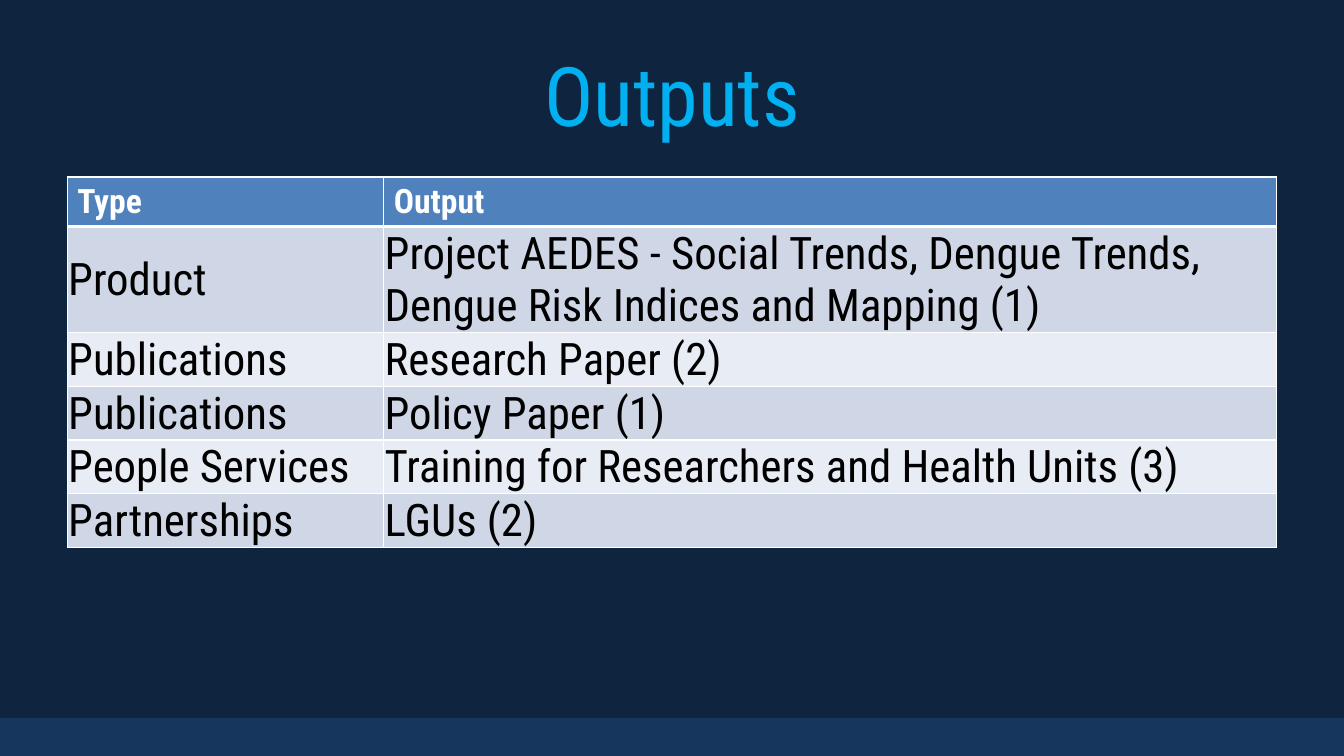
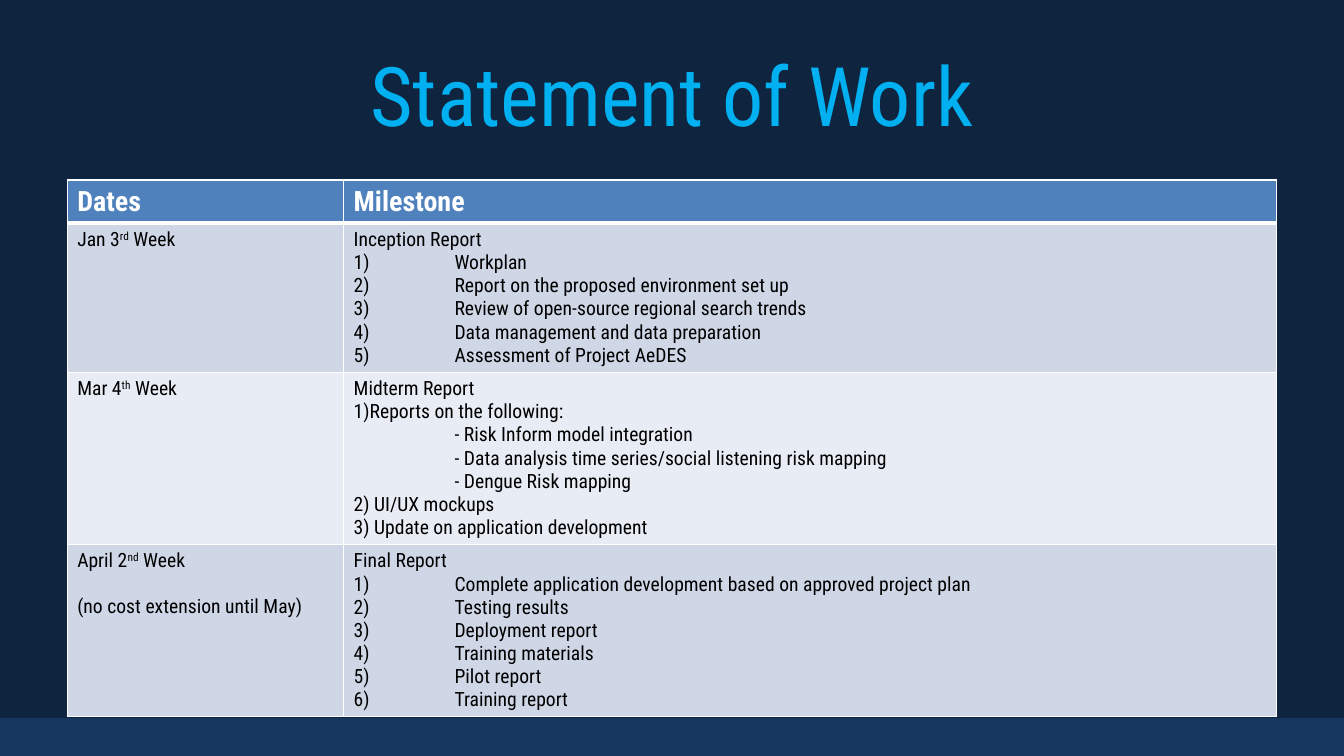
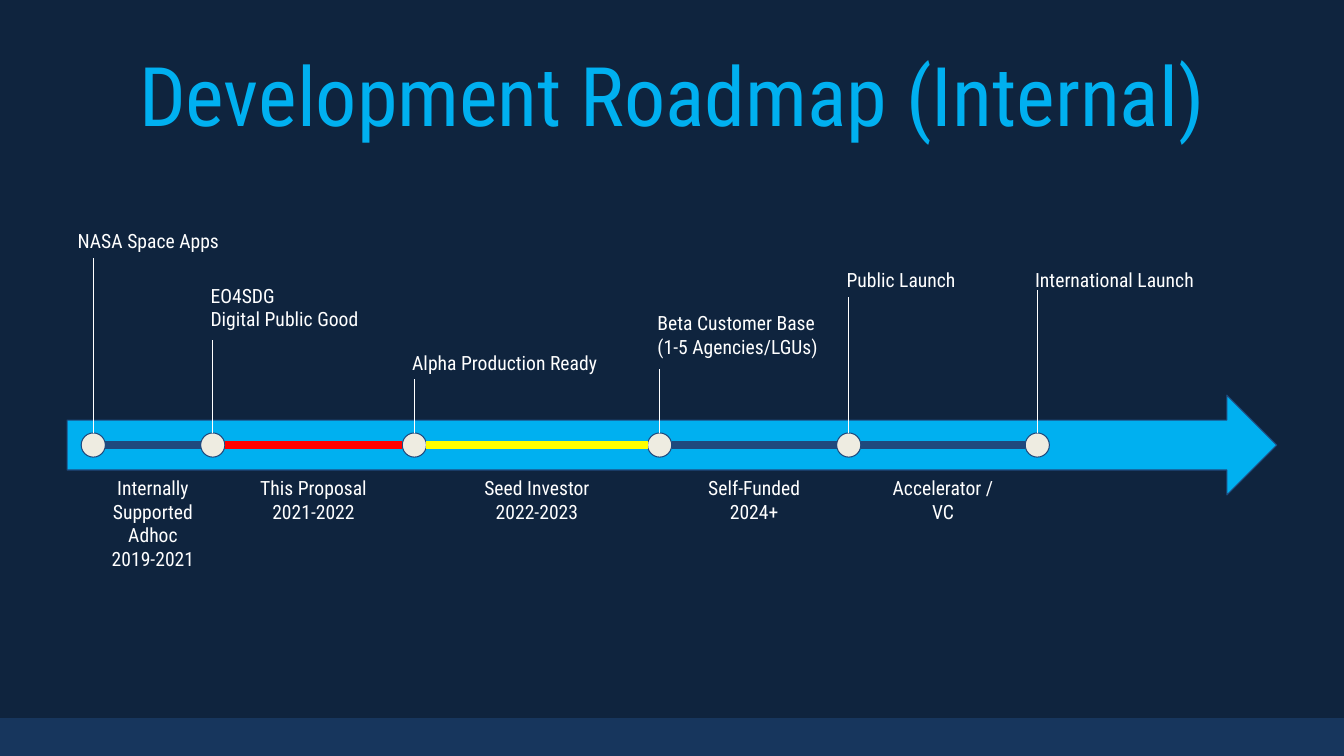
from dataclasses import dataclass
from itertools import pairwise

from lxml.etree import SubElement
from pptx import Presentation
from pptx.dml.color import RGBColor
from pptx.enum.shapes import MSO_CONNECTOR, MSO_SHAPE
from pptx.enum.text import MSO_ANCHOR, MSO_AUTO_SIZE, PP_ALIGN
from pptx.oxml.ns import qn
from pptx.util import Emu, Inches, Pt

WIDTH, HEIGHT = Inches(13.33), Inches(7.5)
MARGIN, CONTENT = 5, 90  # percent of the slide's width
FONT = "Roboto Condensed"
NIGHT, NAVY, SKY, BLUE = "0F243E", "17365D", "00B0F0", "4F81BD"
INK, IVORY, WHITE, BLACK = "1F497D", "EEECE1", "FFFFFF", "000000"
RED, YELLOW = "FF0000", "FFFF00"
STRIPES = ("CFD7E7", "E8ECF4")
TAB_STOP = Inches(1)
AXIS = 58.87  # height of the timeline
DOT_WIDE, DOT_HIGH = 0.9, 1.6  # half the size of a timeline dot


@dataclass
class Line:
    text: str
    raised: str = ""
    tail: str = ""
    indent: int = 0
    gap: float = 0


@dataclass
class TableStyle:
    top: float
    first_column: float
    row_heights: list[float]
    head_size: float
    body_size: float
    tight: bool = False


@dataclass
class Milestone:
    x: float
    label: list[str]
    label_top: float
    label_width: float
    stem_top: float
    label_shift: float = DOT_WIDE


@dataclass
class Phase:
    label: list[str]
    color: str = INK
    rows: int = 2


def across(percent: float) -> Emu:
    return Emu(round(WIDTH * percent / 100))


def down(percent: float) -> Emu:
    return Emu(round(HEIGHT * percent / 100))


def area(left: float, top: float, width: float, height: float) -> tuple:
    """Turn percentages of the slide into a position and a size."""
    return across(left), down(top), across(width), down(height)


def rgb(color: str) -> RGBColor:
    return RGBColor.from_string(color)


def write(para, text: str, *, size: float, color: str = WHITE,
          bold: bool = False, raised: bool = False) -> None:
    span = para.add_run()
    span.text = text
    span.font.name, span.font.size = FONT, Pt(size)
    span.font.bold = bold
    span.font.color.rgb = rgb(color)
    if raised:
        span._r.get_or_add_rPr().set("baseline", "30000")


def write_lines(frame, lines: list[Line], **style) -> None:
    for number, line in enumerate(lines):
        para = frame.add_paragraph() if number else frame.paragraphs[0]
        props = para._p.get_or_add_pPr()
        if line.indent:
            props.set("marL", str(line.indent))
            props.set("indent", "0")
        if "\t" in line.text:
            stops = SubElement(props, qn("a:tabLst"))
            SubElement(stops, qn("a:tab"), pos=str(TAB_STOP), algn="l")
        if line.gap:
            para.space_before = Pt(line.gap)
        write(para, line.text, **style)
        if line.raised:
            write(para, line.raised, raised=True, **style)
            write(para, line.tail, **style)


def add_shape(page, kind, place: tuple, fill: str, outline: str = "") -> None:
    shape = page.shapes.add_shape(kind, *place)
    shape.shadow.inherit = False
    shape.fill.solid()
    shape.fill.fore_color.rgb = rgb(fill)
    if outline:
        shape.line.color.rgb = rgb(outline)
        shape.line.width = Pt(0.75)
    else:
        shape.line.fill.background()


def add_line(page, start: tuple, end: tuple, color: str, weight: float) -> None:
    line = page.shapes.add_connector(
        MSO_CONNECTOR.STRAIGHT, across(start[0]), down(start[1]), across(end[0]), down(end[1]))
    line.line.color.rgb = rgb(color)
    line.line.width = Pt(weight)
    SubElement(line.element.spPr, qn("a:effectLst"))


def add_label(page, lines: list[str], left: float, top: float, width: float,
              rows: int, align=PP_ALIGN.LEFT) -> None:
    height = 2.67 + 3.12 * rows
    frame = page.shapes.add_textbox(*area(left, top, width, height)).text_frame
    frame.word_wrap = True
    frame.margin_left = frame.margin_right = Inches(0.1)
    frame.margin_top = frame.margin_bottom = Inches(0.1)
    write_lines(frame, [Line(text) for text in lines], size=14)
    for para in frame.paragraphs:
        para.alignment = align


def add_border(cell, bottom: float) -> None:
    props = cell._tc.get_or_add_tcPr()
    for side, weight in (("lnL", 1), ("lnR", 1), ("lnT", 1), ("lnB", bottom)):
        edge = SubElement(props, qn(f"a:{side}"), w=str(Pt(weight)))
        fill = SubElement(edge, qn("a:solidFill"))
        SubElement(fill, qn("a:srgbClr"), val=WHITE)


def add_table(page, rows: list[tuple], style: TableStyle) -> None:
    table = page.shapes.add_table(
        len(rows), 2, *area(MARGIN, style.top, CONTENT, sum(style.row_heights))).table
    table.horz_banding = False
    table.columns[0].width = across(style.first_column)
    table.columns[1].width = across(CONTENT - style.first_column)
    for index, (row, height) in enumerate(zip(rows, style.row_heights)):
        table.rows[index].height = down(height)
        head = index == 0
        for cell, lines in zip(table.rows[index].cells, row):
            add_border(cell, 3 if head else 1)
            cell.fill.solid()
            cell.fill.fore_color.rgb = rgb(BLUE if head else STRIPES[(index - 1) % 2])
            if style.tight and not head:
                cell.vertical_anchor = MSO_ANCHOR.MIDDLE
                cell.margin_left = cell.margin_right = cell.margin_top = Inches(0.01)
                cell.margin_bottom = 0
            write_lines(cell.text_frame, lines, bold=head,
                        size=style.head_size if head else style.body_size,
                        color=WHITE if head else BLACK)


def numbered(items: list[str]) -> list[Line]:
    return [Line(f"{number})\t{item}") for number, item in enumerate(items, 1)]


def add_page(deck, title: str):
    page = deck.slides.add_slide(deck.slide_layouts.get_by_name("Title Only"))
    page.background.fill.solid()
    page.background.fill.fore_color.rgb = rgb(NIGHT)
    add_shape(page, MSO_SHAPE.RECTANGLE, area(0, 95, 100, 5), NAVY)
    box = page.shapes.title
    box.left, box.top, box.width, box.height = area(MARGIN, 4, CONTENT, 16.67)
    frame = box.text_frame
    frame.auto_size = MSO_AUTO_SIZE.NONE
    frame.vertical_anchor = MSO_ANCHOR.MIDDLE
    frame.paragraphs[0].alignment = PP_ALIGN.CENTER
    write(frame.paragraphs[0], title, size=58.7, color=SKY)
    return page


def fill_outputs(page) -> None:
    outputs = [
        ("Type", "Output"),
        ("Product", "Project AEDES - Social Trends, Dengue Trends, "
                    "Dengue Risk Indices and Mapping (1)"),
        ("Publications", "Research Paper (2)"),
        ("Publications", "Policy Paper (1)"),
        ("People Services", "Training for Researchers and Health Units (3)"),
        ("Partnerships", "LGUs (2)"),
    ]
    rows = [tuple([Line(text)] for text in row) for row in outputs]
    add_table(page, rows, TableStyle(
        top=23.4, first_column=23.55, row_heights=[6.5, 13.9] + [7.08] * 4,
        head_size=24, body_size=32, tight=True))


def fill_work(page) -> None:
    inception = [Line("Inception Report")] + numbered([
        "Workplan",
        "Report on the proposed environment set up",
        "Review of open-source regional search trends",
        "Data management and data preparation",
        "Assessment of Project AeDES",
    ])
    reports = ["Risk Inform model integration",
               "Data analysis time series/social listening risk mapping",
               "Dengue Risk mapping"]
    midterm = [
        Line("Midterm Report"),
        Line("1)Reports on the following:"),
        *[Line(f"- {report}", indent=TAB_STOP) for report in reports],
        Line("2) UI/UX mockups"),
        Line("3) Update on application development"),
    ]
    final = [Line("Final Report")] + numbered([
        "Complete application development based on approved project plan",
        "Testing results",
        "Deployment report",
        "Training materials",
        "Pilot report",
        "Training report",
    ])
    rows = [
        ([Line("Dates")], [Line("Milestone")]),
        ([Line("Jan 3", "rd", " Week")], inception),
        ([Line("Mar 4", "th", " Week")], midterm),
        ([Line("April 2", "nd", " Week"),
          Line("(no cost extension until May)", gap=16.4)], final),
    ]
    add_table(page, rows, TableStyle(
        top=23.8, first_column=20.57, row_heights=[5.7, 19.7, 22.8, 22.8],
        head_size=20, body_size=14))


def fill_roadmap(page) -> None:
    milestones = [
        Milestone(6.94, ["NASA Space Apps"], 28.93, 12.6, 34.13, label_shift=1.9),
        Milestone(15.83, ["EO4SDG", "Digital Public Good"], 36.2, 12.6, 45),
        Milestone(30.83, ["Alpha Production Ready"], 45.07, 15.45, 50.13),
        Milestone(49.08, ["Beta Customer Base", "(1-5 Agencies/LGUs)"], 39.8, 14.03, 48.8),
        Milestone(63.15, ["Public Launch"], 34.13, 12.6, 39.25),
        Milestone(77.18, ["International Launch"], 34.13, 16.58, 38.4),
    ]
    phases = [
        Phase(["Internally Supported Adhoc", "2019-2021"], rows=4),
        Phase(["This Proposal", "2021-2022"], RED),
        Phase(["Seed Investor", "2022-2023"], YELLOW),
        Phase(["Self-Funded", "2024+"]),
        Phase(["Accelerator / VC"]),
    ]
    add_shape(page, MSO_SHAPE.RIGHT_ARROW, area(MARGIN, AXIS - 6.6, CONTENT, 13.2), SKY, INK)
    for stop in milestones:
        dot = area(stop.x - DOT_WIDE, AXIS - DOT_HIGH, 2 * DOT_WIDE, 2 * DOT_HIGH)
        add_shape(page, MSO_SHAPE.OVAL, dot, IVORY, INK)
        add_label(page, stop.label, stop.x - stop.label_shift, stop.label_top,
                  stop.label_width, len(stop.label))
        add_line(page, (stop.x, AXIS - DOT_HIGH), (stop.x, stop.stem_top), WHITE, 0.75)
    phase_width = 9.9
    for phase, (start, end) in zip(phases, pairwise(milestones)):
        add_line(page, (start.x + DOT_WIDE, AXIS), (end.x - DOT_WIDE, AXIS), phase.color, 6)
        middle = (start.x + end.x) / 2
        add_label(page, phase.label, middle - phase_width / 2, 61.67, phase_width,
                  phase.rows, PP_ALIGN.CENTER)


def main() -> None:
    deck = Presentation()
    deck.slide_width, deck.slide_height = WIDTH, HEIGHT
    fill_outputs(add_page(deck, "Outputs"))
    fill_work(add_page(deck, "Statement of Work"))
    fill_roadmap(add_page(deck, "Development Roadmap (Internal)"))
    deck.save("out.pptx")


if __name__ == "__main__":
    main()
